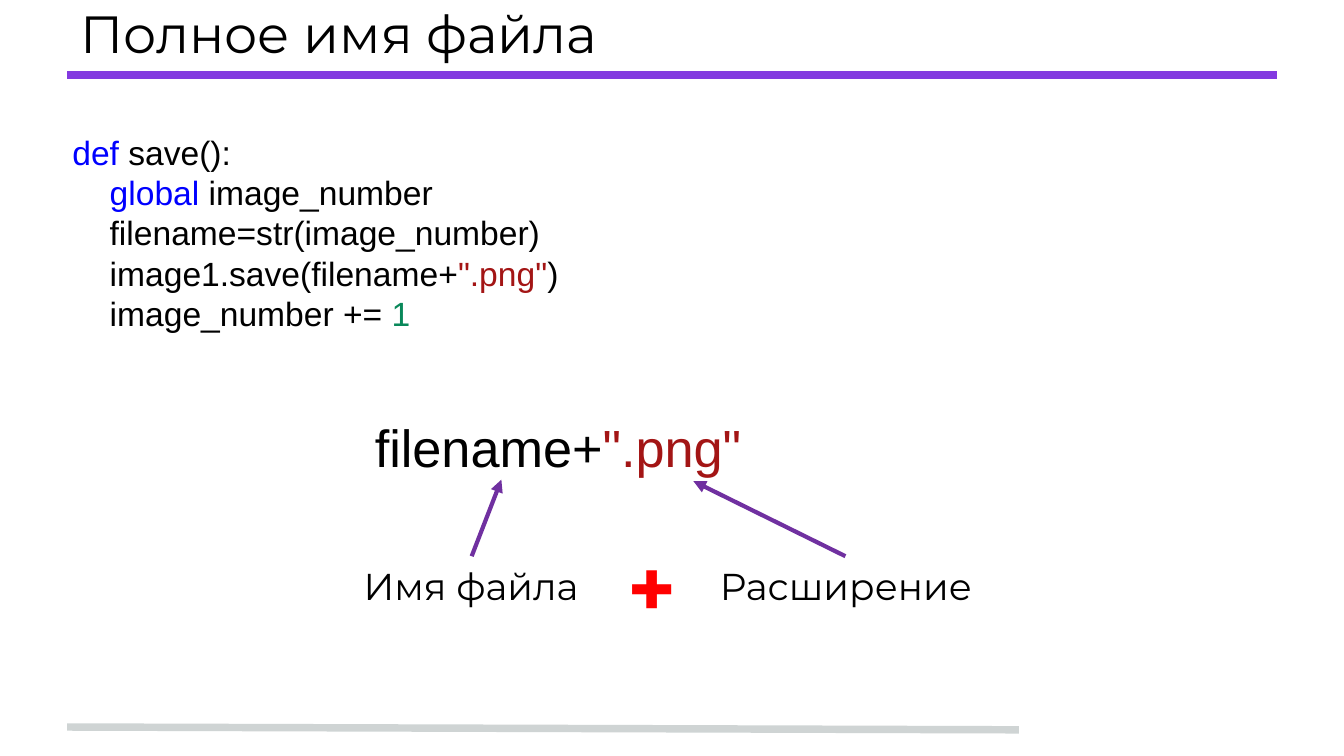
"""Build the slide about the full name of a file."""
from lxml import etree
from pptx import Presentation
from pptx.dml.color import RGBColor
from pptx.enum import shapes, text
from pptx.oxml.ns import qn
from pptx.util import Pt

BLACK = RGBColor(0x00, 0x00, 0x00)
BLUE = RGBColor(0x00, 0x00, 0xFF)
BROWN = RGBColor(0xA3, 0x15, 0x15)
GREEN = RGBColor(0x09, 0x88, 0x5A)
RED = RGBColor(0xFF, 0x00, 0x00)
VIOLET = RGBColor(0x83, 0x3A, 0xE0)
PURPLE = RGBColor(0x70, 0x30, 0xA0)
GRAY = RGBColor(0xCF, 0xD4, 0xD4)

TITLE = [[("Полное имя файла", BLACK)]]
CODE = [
    [("def", BLUE), (" save():", BLACK)],
    [("global", BLUE), (" image_number", BLACK)],
    [("filename=str(image_number)", BLACK)],
    [("image1.save(filename+", BLACK), ('".png"', BROWN), (")", BLACK)],
    [("image_number += ", BLACK), ("1", GREEN)],
]
EXPRESSION = [[("filename+", BLACK), ('".png"', BROWN)]]
LABELS = [
    ("Имя файла", BLACK, 20, False, (183.6, 298, 137.5, 31.7)),
    ("Расширение", BLACK, 20, False, (378, 298, 150.5, 31.7)),
    ("+", RED, 44, True, (328.3, 283.7, 42.5, 60.5)),
]
RULES = [
    ((36, 389.5), (545.8, 391), GRAY),
    ((36, 40.3), (684, 40.3), VIOLET),
]
ARROWS = [
    ((252.7, 298), (268.6, 257)),
    ((452.9, 298), (371.5, 257.8)),
]
CODE_INDENT = 20
CODE_PITCH = 21.6


def add_text(s, box, lines, font, size, bold=False, align=text.PP_ALIGN.LEFT, inset=3.6):
    tf = s.shapes.add_textbox(*map(Pt, box)).text_frame
    tf.word_wrap = True
    tf.margin_top = tf.margin_bottom = Pt(inset)
    for i, runs in enumerate(lines):
        p = tf.paragraphs[0] if i == 0 else tf.add_paragraph()
        p.alignment = align
        p.font.name, p.font.size, p.font.bold = font, Pt(size), bold
        for words, color in runs:
            r = p.add_run()
            r.text = words
            r.font.color.rgb = color
    return tf


def add_line(s, start, end, color, width, arrow=False):
    line = s.shapes.add_connector(shapes.MSO_CONNECTOR.STRAIGHT, *map(Pt, start + end))
    line.line.color.rgb = color
    line.line.width = Pt(width)
    if arrow:
        etree.SubElement(line.line._get_or_add_ln(), qn("a:tailEnd"), type="triangle")
    etree.SubElement(line._element.spPr, qn("a:effectLst"))


def main():
    prs = Presentation()
    prs.slide_width, prs.slide_height = Pt(720), Pt(405)
    s = prs.slides.add_slide(prs.slide_layouts[6])

    for start, end, color in RULES:
        add_line(s, start, end, color, 4)

    title = add_text(s, (36, 0, 648, 35.3), TITLE, "Montserrat", 28, inset=7.2)
    title.vertical_anchor = text.MSO_ANCHOR.MIDDLE

    code = add_text(s, (31.7, 67, 410.4, 116.6), CODE, "Arial", 18)
    for i, p in enumerate(code.paragraphs):
        p.line_spacing = Pt(CODE_PITCH)
        if i:
            p._p.get_or_add_pPr().set("marL", str(Pt(CODE_INDENT)))

    for words, color, size, bold, box in LABELS:
        add_text(s, box, [[(words, color)]], "Montserrat", size, bold, text.PP_ALIGN.CENTER)
    for start, end in ARROWS:
        add_line(s, start, end, PURPLE, 2.25, arrow=True)
    add_text(s, (193.7, 218.9, 270, 41), EXPRESSION, "Arial", 28)

    prs.save("out.pptx")


if __name__ == "__main__":
    main()
